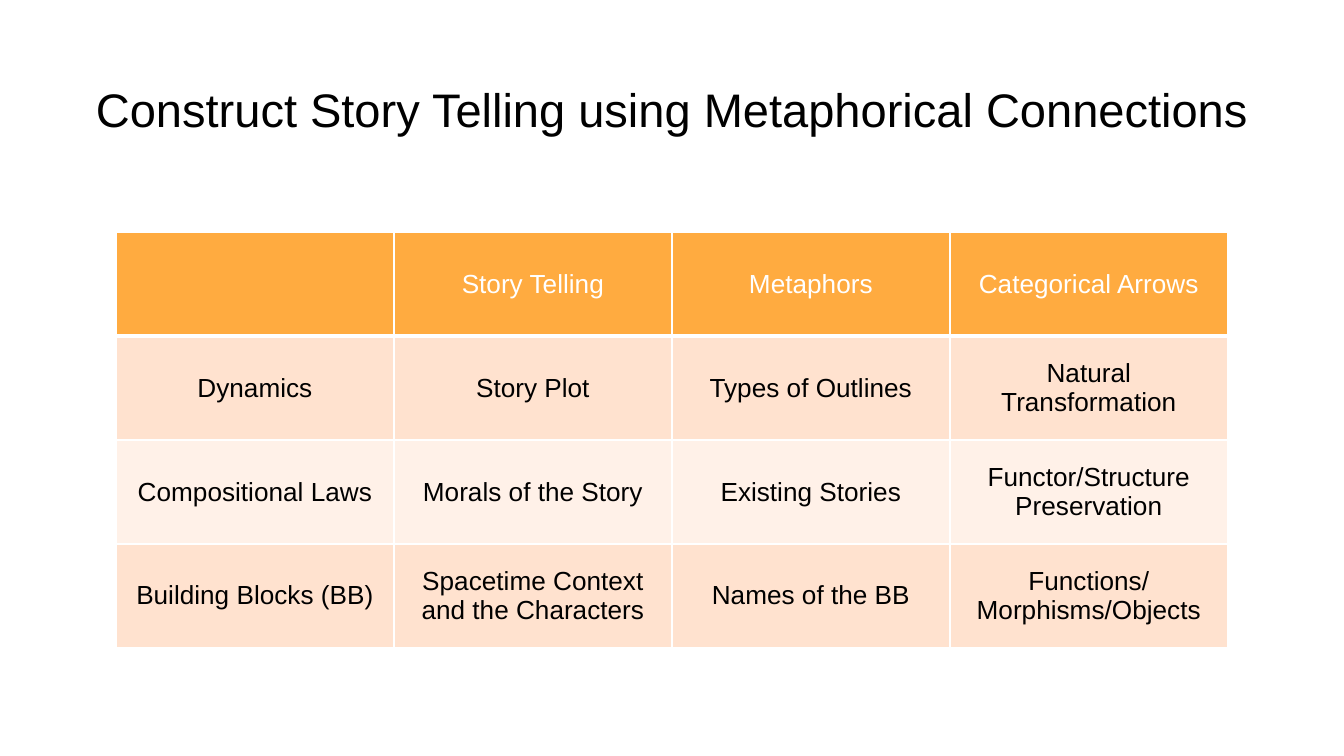
from pptx import Presentation
from pptx import util as u
from pptx.dml import color
from pptx.enum import text
from pptx.oxml import parse_xml
from pptx.oxml import ns

# Content
TITLE = "Construct Story Telling using Metaphorical Connections"
ROWS = [
    ("", "Story Telling", "Metaphors", "Categorical Arrows"),
    ("Dynamics", "Story Plot", "Types of Outlines", "Natural Transformation"),
    ("Compositional Laws", "Morals of the Story", "Existing Stories",
     "Functor/Structure Preservation"),
    ("Building Blocks (BB)", "Spacetime Context and the Characters",
     "Names of the BB", "Functions/Morphisms/Objects"),
]

# Theme and layout, lengths in px
THEME = {
    "font": "Arial",
    "title_size": 25.2,
    "table_size": 14,
    "ink": "000000",
    "white": "FFFFFF",
    "header": "FFAB40",
    "bands": ("FFE2CF", "FFF1E8"),
    "rule": 1,
    "header_rule": 3,
}
SLIDE = (1344, 756)
TITLE_BOX = (46, 66, 1252, 85)
TABLE_AT = (116, 232)
CELL = (278, 104)
TITLE_INSET = 13
SCALE = 914400 / 134.4


def px(length):
    return u.Emu(round(length * SCALE))


def set_all(target, values):
    for name, value in values.items():
        setattr(target, name, value)


def format_text(frame, size, ink):
    frame.word_wrap = True
    for paragraph in frame.paragraphs:
        paragraph.alignment = text.PP_ALIGN.CENTER
        set_all(paragraph.font, {"name": THEME["font"], "size": u.Pt(size), "bold": False})
        paragraph.font.color.rgb = color.RGBColor.from_string(ink)


def add_borders(cell, bottom):
    properties = cell._tc.get_or_add_tcPr()
    widths = {"L": THEME["rule"], "R": THEME["rule"], "T": THEME["rule"], "B": bottom}
    for side, width in widths.items():
        properties.append(parse_xml(
            f'<a:ln{side} {ns.nsdecls("a")} w="{u.Pt(width)}"><a:solidFill>'
            f'<a:srgbClr val="{THEME["white"]}"/></a:solidFill></a:ln{side}>'))


presentation = Presentation()
set_all(presentation, {"slide_width": px(SLIDE[0]), "slide_height": px(SLIDE[1])})
slide = presentation.slides.add_slide(presentation.slide_layouts[5])

# Title
title = slide.shapes.title
set_all(title, dict(zip(("left", "top", "width", "height"), map(px, TITLE_BOX))))
frame = title.text_frame
frame.text = TITLE
set_all(frame, {f"margin_{side}": px(TITLE_INSET) for side in ("left", "top", "right", "bottom")})
set_all(frame, {"vertical_anchor": text.MSO_ANCHOR.MIDDLE, "auto_size": text.MSO_AUTO_SIZE.NONE})
format_text(frame, THEME["title_size"], THEME["ink"])

# Table
column_count = len(ROWS[0])
table = slide.shapes.add_table(
    len(ROWS), column_count, *map(px, TABLE_AT),
    px(CELL[0] * column_count), px(CELL[1] * len(ROWS))).table
set_all(table, {"first_row": True, "horz_banding": False})

for row_index, row in enumerate(ROWS):
    is_header = row_index == 0
    fill = THEME["header"] if is_header else THEME["bands"][(row_index - 1) % 2]
    ink = THEME["white"] if is_header else THEME["ink"]
    for column_index, label in enumerate(row):
        cell = table.cell(row_index, column_index)
        cell.text = label
        cell.vertical_anchor = text.MSO_ANCHOR.MIDDLE
        format_text(cell.text_frame, THEME["table_size"], ink)
        add_borders(cell, THEME["header_rule"] if is_header else THEME["rule"])
        cell.fill.solid()
        cell.fill.fore_color.rgb = color.RGBColor.from_string(fill)

presentation.save("out.pptx")
